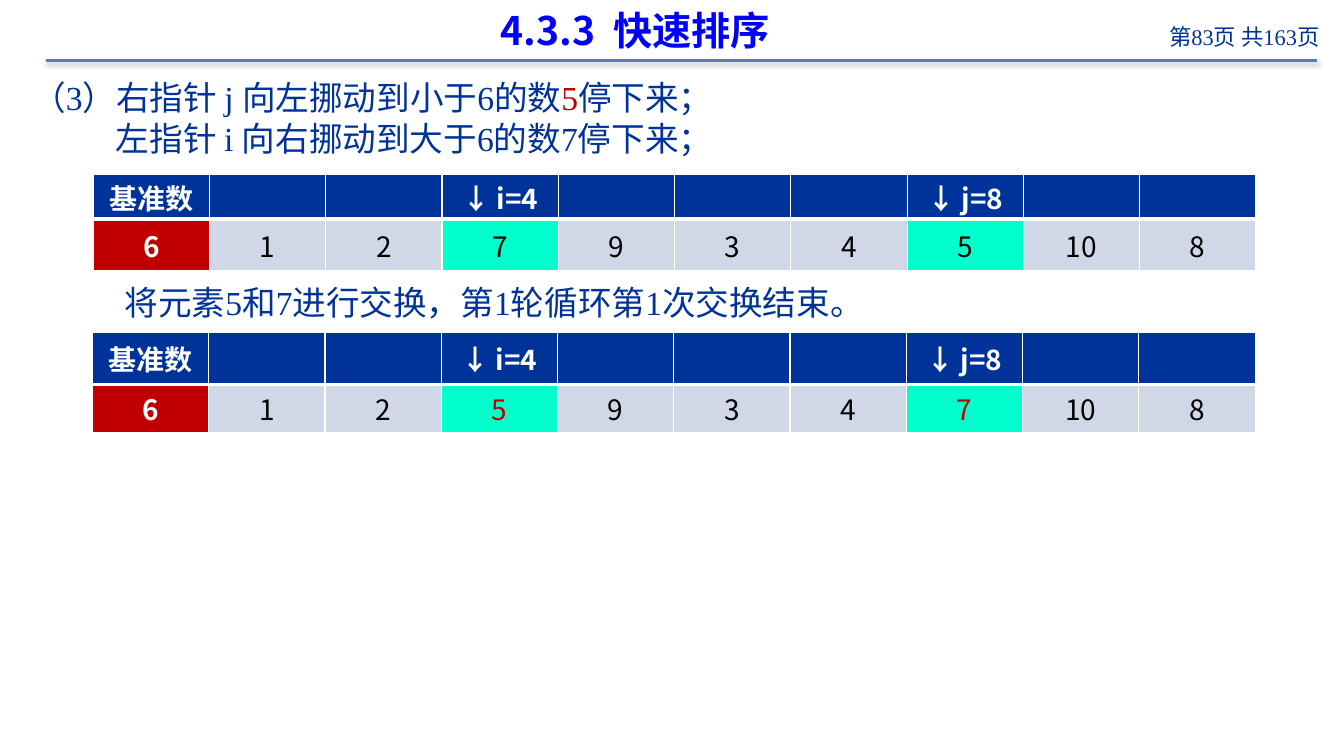
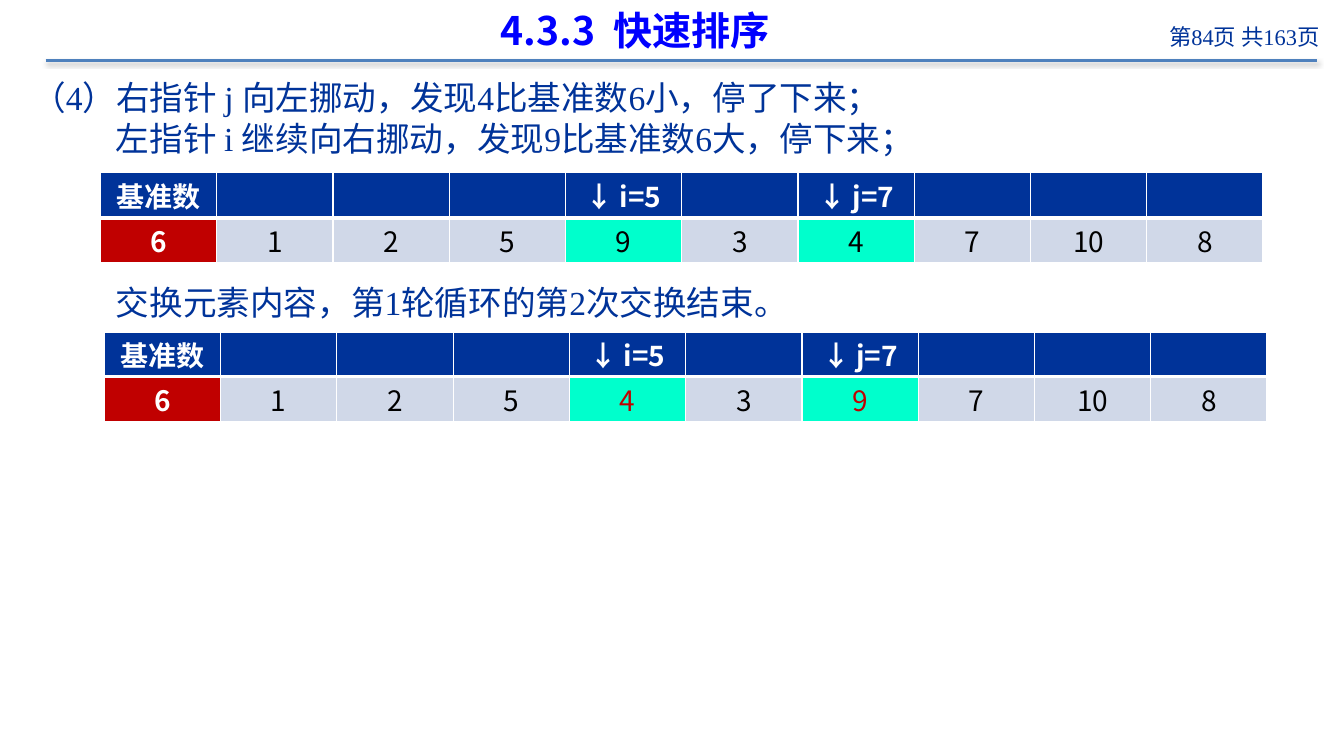
from dataclasses import dataclass

from lxml.etree import SubElement
from pptx import Presentation
from pptx.dml.color import RGBColor
from pptx.enum.shapes import MSO_CONNECTOR
from pptx.enum.text import MSO_ANCHOR, MSO_AUTO_SIZE, PP_ALIGN
from pptx.oxml import parse_xml
from pptx.oxml.ns import nsdecls, qn
from pptx.util import Cm, Pt


@dataclass(frozen=True)
class Theme:
    title: str = "0000FF"
    navy: str = "003399"
    red: str = "C00000"
    mint: str = "00FFCC"
    pale: str = "D0D8E8"
    rule: str = "4F81BD"
    white: str = "FFFFFF"
    black: str = "000000"
    sans: str = "Noto Sans CJK SC"
    serif: str = "Times New Roman"
    head: int = 28
    body: int = 24
    cell: int = 20
    page: int = 16
    pitch: float = 29.25


T = Theme()
TITLE = "4.3.3  快速排序"
TOTAL = 163
COL = 2.93
INDENT = 2.11

# lines: (indent in cm, [(text, colour), ...])
# grids: (left, top, head row, value row) in cm; the second shows the swap
SLIDES = [
    dict(
        page=83,
        lines=[
            (0, [("（3）右指针 j 向左挪动到小于6的数", T.navy), ("5", T.red),
                 ("停下来；", T.navy)]),
            (INDENT, [("左指针 i 向右挪动到大于6的数7停下来；", T.navy)]),
            (2.33, [("将元素5和7进行交换，第1轮循环第1次交换结束。", T.navy)]),
        ],
        nums=[6, 1, 2, 7, 9, 3, 4, 5, 10, 8], i=4, j=8,
        grids=[(2.35, 4.4, 1.12, 1.3), (2.33, 8.38, 1.31, 1.21)],
    ),
    dict(
        page=84,
        lines=[
            (0, [("（4）右指针 j 向左挪动，发现4比基准数6小，停了下来；", T.navy)]),
            (INDENT, [("左指针 i 继续向右挪动，发现9比基准数6大，停下来；", T.navy)]),
            (INDENT, [("交换元素内容，第1轮循环的第2次交换结束。", T.navy)]),
        ],
        nums=[6, 1, 2, 5, 9, 3, 4, 7, 10, 8], i=5, j=7,
        grids=[(2.53, 4.35, 1.14, 1.14), (2.63, 8.38, 1.11, 1.13)],
    ),
]


def style(run, size, color, face, bold=False):
    font = run.font
    font.size, font.bold, font.name = Pt(size), bold, face
    font.color.rgb = RGBColor.from_string(color)
    SubElement(run._r.get_or_add_rPr(), qn("a:ea"), typeface=T.sans)


def place(shape, left, top, width, height):
    shape.left, shape.top = Cm(left), Cm(top)
    shape.width, shape.height = Cm(width), Cm(height)


def frame(shape, anchor):
    """Fix the text frame's size, wrap it and clear its insets."""
    box = shape.text_frame
    box.word_wrap, box.auto_size = True, MSO_AUTO_SIZE.NONE
    box.vertical_anchor = anchor
    box.margin_left = box.margin_right = box.margin_top = box.margin_bottom = 0
    return box


def add_rule(slide, layout):
    """Draw the line under the title and move it to the layout."""
    line = slide.shapes.add_connector(
        MSO_CONNECTOR.STRAIGHT, Cm(1.15), Cm(1.53), Cm(33.2), Cm(1.53))
    line.line.color.rgb = RGBColor.from_string(T.rule)
    line.line.width = Pt(2)
    line._element.spPr.append(parse_xml(
        f'<a:effectLst {nsdecls("a")}><a:outerShdw blurRad="39370" '
        f'dist="20320" dir="5400000"><a:srgbClr val="{T.black}">'
        '<a:alpha val="38000"/></a:srgbClr></a:outerShdw></a:effectLst>'))
    layout.shapes.element.append(line._element)


def add_head(slide, page):
    para = frame(slide.shapes.title, MSO_ANCHOR.MIDDLE).paragraphs[0]
    para.text = TITLE
    para.alignment = PP_ALIGN.CENTER
    style(para.runs[0], T.head, T.title, T.sans, True)

    mark = slide.shapes.add_textbox(Cm(27.51), Cm(0.36), Cm(5.74), Cm(1.14))
    para = frame(mark, MSO_ANCHOR.MIDDLE).paragraphs[0]
    para.text = f"第{page}页 共{TOTAL}页"
    para.alignment = PP_ALIGN.RIGHT
    style(para.runs[0], T.page, T.navy, T.serif)


def add_lines(slide, lines):
    box = frame(slide.placeholders[1], MSO_ANCHOR.TOP)
    for n, (indent, parts) in enumerate(lines):
        para = box.add_paragraph() if n else box.paragraphs[0]
        props = para._p.get_or_add_pPr()
        props.set("marL", str(Cm(indent)))
        props.set("indent", "0")
        SubElement(props, qn("a:buNone"))
        para.line_spacing = Pt(T.pitch)
        # The last line leaves room for the first table.
        para.space_before = Pt(3 * T.pitch if n == 2 else 0)
        for text, color in parts:
            run = para.add_run()
            run.text = text
            style(run, T.body, color, T.serif)


def fill_cell(cell, text, fill, color, bold, under):
    cell.margin_left = cell.margin_right = Cm(0.18)
    cell.margin_top = cell.margin_bottom = 0
    cell.vertical_anchor = MSO_ANCHOR.MIDDLE
    props = cell._tc.get_or_add_tcPr()
    for side, width in zip("LRTB", (1, 1, 1, under)):
        props.append(parse_xml(
            f'<a:ln{side} {nsdecls("a")} w="{Pt(width)}"><a:solidFill>'
            f'<a:srgbClr val="{T.white}"/></a:solidFill></a:ln{side}>'))
    cell.fill.solid()
    cell.fill.fore_color.rgb = RGBColor.from_string(fill)
    if text:
        para = cell.text_frame.paragraphs[0]
        para.text = text
        para.alignment = PP_ALIGN.CENTER
        style(para.runs[0], T.cell, color, T.sans, bold)


def add_grid(slide, nums, i, j, spot, hot):
    """Show the numbers under their pointers; hot colours the pointed ones."""
    left, top, *rows = spot
    table = slide.shapes.add_table(
        2, len(nums), Cm(left), Cm(top), Cm(COL * len(nums)),
        Cm(sum(rows))).table
    for row, height in zip(table.rows, rows):
        row.height = Cm(height)
    heads = {0: "基准数", i - 1: f"↓ i={i}", j - 1: f"↓ j={j}"}
    for n, num in enumerate(nums):
        table.columns[n].width = Cm(COL)
        fill_cell(table.cell(0, n), heads.get(n, ""), T.navy, T.white, True, 3)
        if n == 0:
            look = T.red, T.white, True
        elif n in heads:
            look = T.mint, hot, False
        else:
            look = T.pale, T.black, False
        fill_cell(table.cell(1, n), str(num), *look, 1)


def main():
    prs = Presentation()
    prs.slide_width, prs.slide_height = Cm(33.87), Cm(19.05)
    layout = prs.slide_layouts[1]
    place(layout.placeholders[0], 1.96, 0.05, 28.09, 1.42)
    place(layout.placeholders[1], 0.81, 1.93, 32.36, 16.48)

    for n, data in enumerate(SLIDES):
        slide = prs.slides.add_slide(layout)
        if n == 0:
            add_rule(slide, layout)
        add_head(slide, data["page"])
        add_lines(slide, data["lines"])
        nums, i, j = data["nums"], data["i"], data["j"]
        after = list(nums)
        after[i - 1], after[j - 1] = nums[j - 1], nums[i - 1]
        first, last = data["grids"]
        add_grid(slide, nums, i, j, first, T.black)
        add_grid(slide, after, i, j, last, T.red)
    prs.save("out.pptx")


if __name__ == "__main__":
    main()
